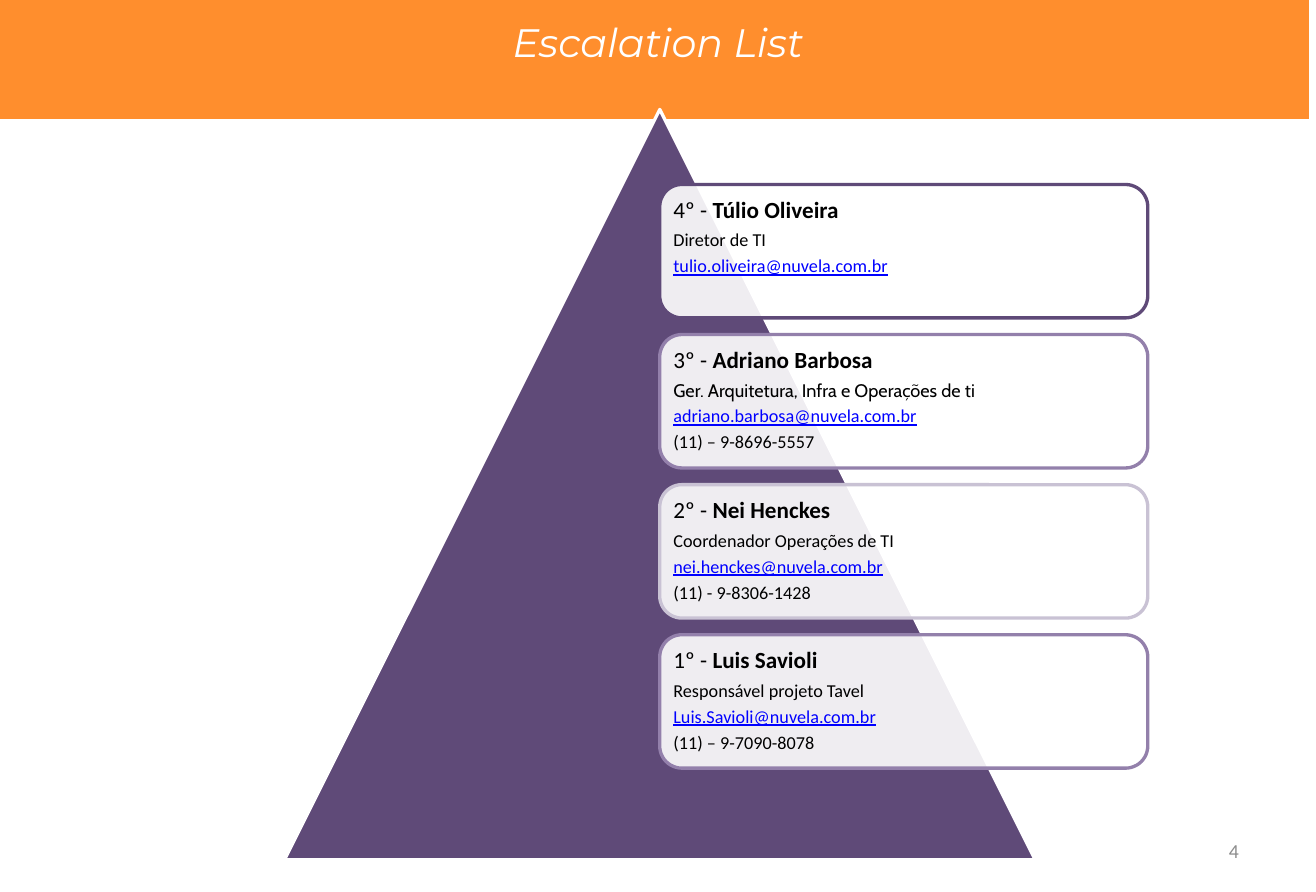
from lxml.etree import SubElement
from pptx import Presentation
from pptx.dml.color import RGBColor
from pptx.enum.shapes import MSO_SHAPE as Shape
from pptx.enum.text import MSO_ANCHOR as Anchor, PP_ALIGN as Align
from pptx.oxml.ns import qn
from pptx.util import Inches, Pt

WIDTH, HEIGHT = 11.06, 7.5
COLORS = {
    "orange": "FF8E2D", "white": "FFFFFF", "black": "000000", "link": "0000FF",
    "gray": "8C8C8C", "purple": "5F4A78", "violet": "9380AB", "lilac": "C9C2D4",
}
CONTACTS = [
    ("4º", "Túlio Oliveira", "Diretor de TI", "Calibri",
     "tulio.oliveira@nuvela.com.br", None, "purple"),
    ("3º", "Adriano Barbosa", "Ger. Arquitetura, Infra e Operações de ti", "Cabin",
     "adriano.barbosa@nuvela.com.br", "(11) – 9-8696-5557", "violet"),
    ("2º", "Nei Henckes", "Coordenador Operações de TI", "Calibri",
     "nei.henckes@nuvela.com.br", "(11) - 9-8306-1428", "lilac"),
    ("1º", "Luis Savioli", "Responsável projeto Tavel", "Calibri",
     "Luis.Savioli@nuvela.com.br", "(11) – 9-7090-8078", "violet"),
]


def rgb(name):
    """Return the named colour."""
    return RGBColor.from_string(COLORS[name])


def style(paragraph, size, color, face="Calibri"):
    """Set the font shared by all runs of a paragraph."""
    font = paragraph.font
    font.size, font.name, font.color.rgb = Pt(size), face, rgb(color)


def paint(shape, fill, line=None):
    """Give a shape a flat fill and an optional 2 pt outline."""
    shape.shadow.inherit = False
    shape.fill.solid()
    shape.fill.fore_color.rgb = rgb(fill)
    if line:
        shape.line.color.rgb = rgb(line)
        shape.line.width = Pt(2)
    else:
        shape.line.fill.background()


def add_label(slide, box, text, align, anchor, size, color, face="Calibri"):
    """Place a one-paragraph text box."""
    frame = slide.shapes.add_textbox(*map(Inches, box)).text_frame
    frame.word_wrap, frame.vertical_anchor = True, anchor
    label = frame.paragraphs[0]
    label.text, label.alignment = text, align
    style(label, size, color, face)
    return label


def bezier(start, first, second, end, steps=32):
    """Return points along a cubic curve, without its start."""
    return [
        tuple((1 - t) ** 3 * a + 3 * (1 - t) ** 2 * t * b + 3 * (1 - t) * t ** 2 * c + t ** 3 * d
              for a, b, c, d in zip(start, first, second, end))
        for t in (step / steps for step in range(1, steps + 1))
    ]


def add_header(slide, box):
    """Draw the curved band and its title."""
    left, top, width, height = box
    right_end, middle, left_end = (0.98, 0.72), (0.49, 1), (0, 0.72)
    outline = [(1, 0), (1, 0.7), right_end]
    outline += bezier(right_end, (0.85, 0.9), (0.68, 1), middle)
    outline += bezier(middle, (0.31, 1), (0.14, 0.9), left_end)
    builder = slide.shapes.build_freeform(Inches(left), Inches(top), scale=Inches(1))
    builder.add_line_segments([(left + x * width, top + y * height) for x, y in outline])
    paint(builder.convert_to_shape(), "orange")
    title_box = (left + 0.23 * width, top + 0.12 * height, 0.54 * width, 0.61 * height)
    title = add_label(slide, title_box, "Escalation List", Align.CENTER, Anchor.TOP,
                      24, "white", "Montserrat")
    title.font.italic = True


def add_card(slide, box, contact):
    """Draw one contact card with its text."""
    rank, name, role, role_face, email, phone, outline = contact
    card = slide.shapes.add_shape(Shape.ROUNDED_RECTANGLE, *map(Inches, box))
    paint(card, "white", outline)
    fill_color = card.fill._xPr.find(qn("a:solidFill"))[0]
    SubElement(fill_color, qn("a:alpha"), val="90000")
    frame = card.text_frame
    frame.word_wrap, frame.vertical_anchor = True, Anchor.TOP
    frame.margin_left = frame.margin_right = Inches(0.06)
    frame.margin_top = frame.margin_bottom = Inches(0.06)
    heading = frame.paragraphs[0]
    heading.add_run().text = f"{rank} - "
    person = heading.add_run()
    person.text, person.font.bold = name, True
    lines = [(heading, 14, "black", "Calibri")]
    details = [(role, "black", role_face), (email, "link", "Calibri"), (phone, "black", "Calibri")]
    for text, color, face in details:
        if text:
            detail = frame.add_paragraph()
            detail.text = text
            detail.font.underline = color == "link"
            lines.append((detail, 11, color, face))
    for line, size, color, face in lines:
        line.alignment, line.line_spacing = Align.LEFT, 0.9
        line.space_after = Pt(0.35 * size)
        style(line, size, color, face)


def add_pyramid(slide, box, contacts):
    """Draw the triangle and stack the cards over its right half."""
    left, top, width, height = box
    triangle = slide.shapes.add_shape(Shape.ISOSCELES_TRIANGLE, *map(Inches, box))
    paint(triangle, "purple", "white")
    pitch = 0.8 * height / len(contacts)
    for row, contact in enumerate(contacts):
        card_top = top + 0.1 * height + row * pitch
        add_card(slide, (left + width / 2, card_top, 0.65 * width, pitch * 8 / 9), contact)


def main():
    """Build and save the slide."""
    deck = Presentation()
    deck.slide_width, deck.slide_height = Inches(WIDTH), Inches(HEIGHT)
    slide = deck.slides.add_slide(deck.slide_layouts[6])
    add_header(slide, (0, 0, WIDTH, 0.11 * HEIGHT))
    add_label(slide, (7.93, 6.95, 2.58, 0.4), "4", Align.RIGHT, Anchor.MIDDLE, 12, "gray")
    add_pyramid(slide, (2.39, 0.92, 6.31, 6.31), CONTACTS)
    deck.save("out.pptx")


if __name__ == "__main__":
    main()
